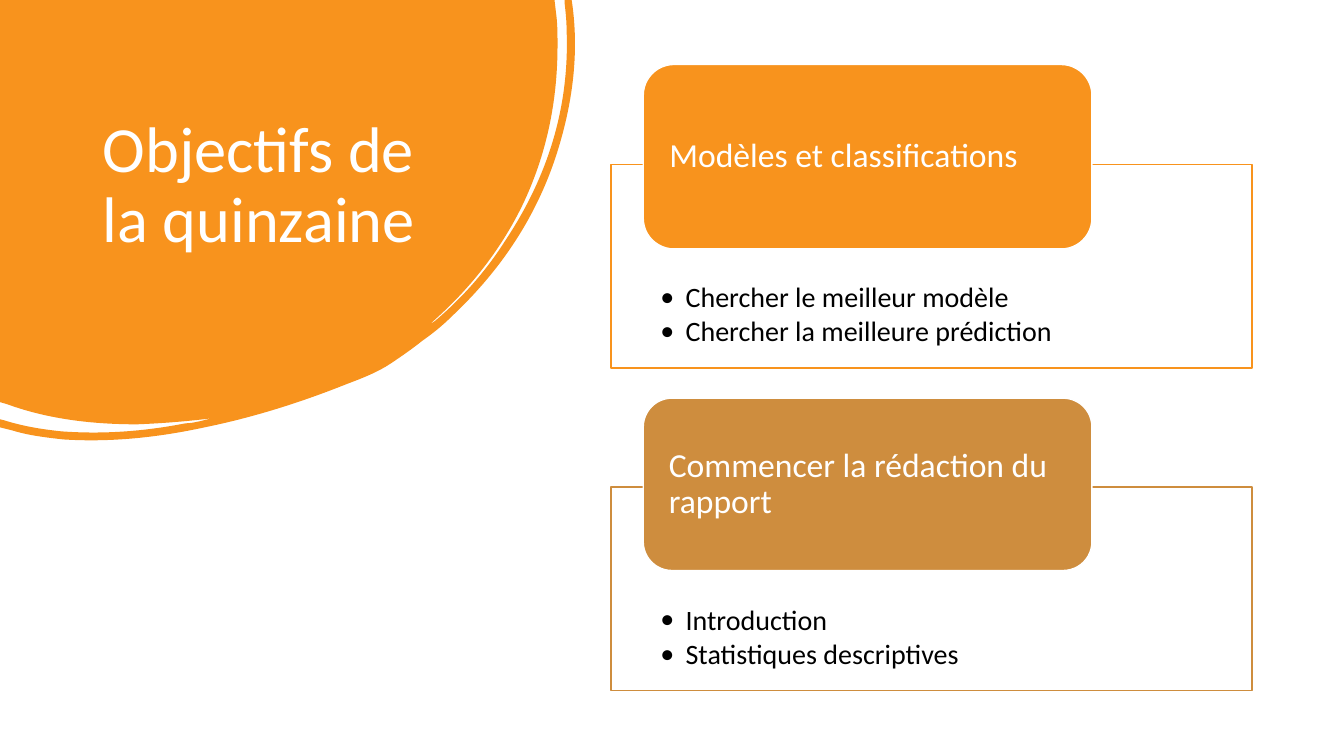
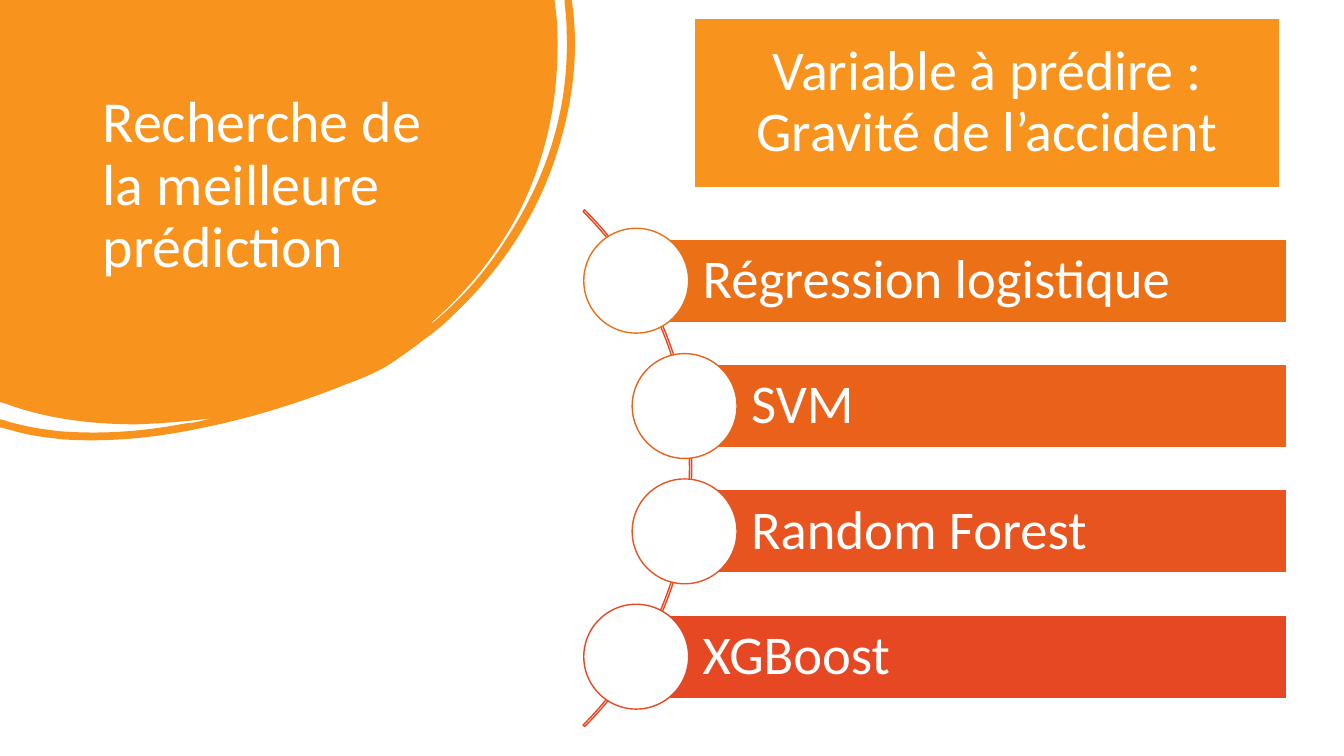
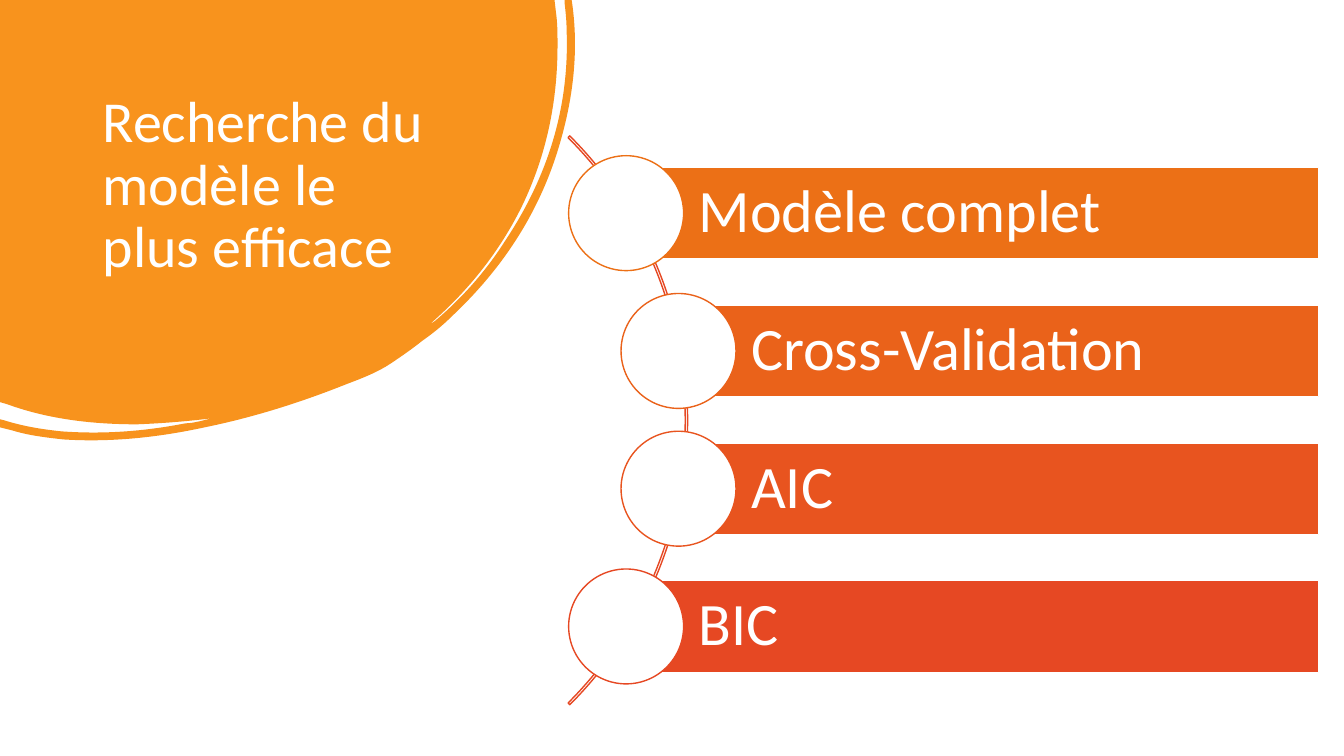
from dataclasses import dataclass

from lxml import etree
from pptx import Presentation
from pptx import util as u
from pptx.dml.color import RGBColor
from pptx.enum import shapes, text
from pptx.oxml.ns import qn

FONT = "Calibri"
ORANGE = "F8931D"
OCHRE = "CE8D3E"
RED = "E64823"
WHITE = "FFFFFF"
BLACK = "000000"
BAR_COLORS = ("EC7016", "EA621A", "E8541F", RED)

BLOB_SIZE = (5.71, 4.37)
BLOB_OUTLINE = (
    (5.5, 0), (5.52, 0.17),
    (5.53, 0.26, 5.53, 0.36, 5.53, 0.45),
    (5.53, 1.01, 5.42, 1.54, 5.18, 2.04),
    (4.96, 2.49, 4.65, 2.88, 4.27, 3.21),
    (4.29, 3.21, 4.3, 3.19, 4.32, 3.18),
    (4.59, 2.95, 4.82, 2.69, 5.01, 2.39),
    (5.43, 1.76, 5.65, 1.07, 5.62, 0.3),
    (5.62, 0.21, 5.61, 0.12, 5.6, 0.03),
    (5.6, 0), (5.67, 0), (5.68, 0.07),
    (5.74, 0.54, 5.68, 1.02, 5.53, 1.5),
    (5.33, 2.14, 4.97, 2.68, 4.48, 3.14),
    (4.39, 3.23, 4.29, 3.31, 4.19, 3.38),
    (4.09, 3.46, 3.99, 3.53, 3.87, 3.61),
    (3.75, 3.69, 3.6, 3.75, 3.44, 3.81),
    (2.99, 3.99, 2.52, 4.14, 2.03, 4.24),
    (1.57, 4.34, 1.1, 4.39, 0.63, 4.36),
    (0.45, 4.34, 0.28, 4.32, 0.12, 4.27),
    (0, 4.24), (0, 4.16), (0.04, 4.17),
    (0.23, 4.23, 0.42, 4.26, 0.61, 4.28),
    (1.03, 4.31, 1.43, 4.28, 1.84, 4.2),
    (1.89, 4.2, 1.93, 4.19, 1.98, 4.18),
    (2.02, 4.17, 2.06, 4.16, 2.1, 4.15),
    (1.86, 4.18, 1.61, 4.2, 1.36, 4.21),
    (0.92, 4.21, 0.48, 4.16, 0.07, 4.01),
    (0, 3.99),
)


@dataclass(frozen=True)
class Goal:
    heading: str
    points: tuple[str, ...]
    color: str
    body_top: float
    heading_top: float
    heading_height: float


@dataclass(frozen=True)
class Fan:
    labels: tuple[str, ...]
    size: float
    left: float
    right: float
    first_top: float
    last_top: float
    height: float
    shift: float
    circle: float
    inset: float
    margin: float
    arc_left: float
    arc_top: float
    arc_size: float


GOALS = (
    Goal("Modèles et classifications",
         ("Chercher le meilleur modèle", "Chercher la meilleure prédiction"),
         ORANGE, 1.63, 0.64, 1.83),
    Goal("Commencer la rédaction du rapport",
         ("Introduction", "Statistiques descriptives"),
         OCHRE, 4.83, 3.95, 1.71),
)

PREDICTION_FAN = Fan(
    ("Régression logistique", "SVM", "Random Forest", "XGBoost"), size=39,
    left=6.31, right=12.76, first_top=2.37, last_top=6.1, height=0.83, shift=0.48,
    circle=1.04, inset=0.66, margin=0.11,
    arc_left=-0.39, arc_top=1.02, arc_size=7.25)

MODEL_FAN = Fan(
    ("Modèle complet", "Cross-Validation", "AIC", "BIC"), size=43,
    left=6.21, right=13.08, first_top=1.66, last_top=5.76, height=0.91, shift=0.52,
    circle=1.14, inset=0.72, margin=0.12,
    arc_left=-1.16, arc_top=0.18, arc_size=7.98)


def rgb(color: str) -> RGBColor:
    return RGBColor.from_string(color)


def paint(shape, fill: str | None, line: str | None, opacity: int = 100) -> None:
    shape.shadow.inherit = False
    if fill:
        shape.fill.solid()
        shape.fill.fore_color.rgb = rgb(fill)
        if opacity < 100:
            tone = shape.element.spPr.find(qn("a:solidFill")).find(qn("a:srgbClr"))
            etree.SubElement(tone, qn("a:alpha")).set("val", str(opacity * 1000))
    else:
        shape.fill.background()
    if line:
        shape.line.color.rgb = rgb(line)
        shape.line.width = u.Pt(1)
    else:
        shape.line.fill.background()


def add_figure(page, kind, left: float, top: float, width: float, height: float,
               fill: str | None, line: str | None, opacity: int = 100):
    shape = page.shapes.add_shape(kind, u.Inches(left), u.Inches(top),
                                  u.Inches(width), u.Inches(height))
    paint(shape, fill, line, opacity)
    return shape


def add_bullet(para) -> None:
    properties = para._p.get_or_add_pPr()
    properties.set("marL", str(u.Inches(0.25)))
    properties.set("indent", str(-u.Inches(0.25)))
    etree.SubElement(properties, qn("a:buFont")).set("typeface", FONT)
    etree.SubElement(properties, qn("a:buChar")).set("char", "•")


def write(box, *lines: str, size: float, color: str = WHITE,
          insets: tuple[float, float, float, float] = (0.1, 0.05, 0.1, 0.05),
          anchor=text.MSO_ANCHOR.MIDDLE, align=text.PP_ALIGN.LEFT,
          bullet: bool = False, after: float = 0) -> None:
    frame = box.text_frame
    frame.word_wrap = True
    frame.vertical_anchor = anchor
    (frame.margin_left, frame.margin_top,
     frame.margin_right, frame.margin_bottom) = map(u.Inches, insets)
    for index, line in enumerate(lines):
        para = frame.add_paragraph() if index else frame.paragraphs[0]
        para.text = line
        para.alignment = align
        para.line_spacing = 0.9
        para.space_after = u.Pt(after)
        if bullet:
            add_bullet(para)
        for span in para.runs:
            span.font.name = FONT
            span.font.size = u.Pt(size)
            span.font.color.rgb = rgb(color)


def add_blob(page) -> None:
    builder = page.shapes.build_freeform(0, 0)
    builder.add_line_segments([(u.Inches(segment[-2]), u.Inches(segment[-1]))
                               for segment in BLOB_OUTLINE], close=True)
    blob = builder.convert_to_shape()
    blob.width, blob.height = map(u.Inches, BLOB_SIZE)
    outline = next(blob.element.iter(qn("a:path")))
    outline.set("w", str(blob.width))
    outline.set("h", str(blob.height))
    for line, segment in zip(outline.findall(qn("a:lnTo")), BLOB_OUTLINE):
        if len(segment) == 6:
            curve = etree.Element(qn("a:cubicBezTo"))
            for x, y in zip(segment[::2], segment[1::2]):
                point = etree.SubElement(curve, qn("a:pt"))
                point.set("x", str(u.Inches(x)))
                point.set("y", str(u.Inches(y)))
            outline.replace(line, curve)
    paint(blob, ORANGE, None)


def add_page(deck, title: str, size: float):
    page = deck.slides.add_slide(deck.slide_layouts[6])
    add_blob(page)
    box = page.shapes.add_textbox(u.Inches(0.92), u.Inches(0.74),
                                  u.Inches(3.52), u.Inches(2.22))
    write(box, title, size=size)
    return page


def add_goal(page, goal: Goal) -> None:
    body = add_figure(page, shapes.MSO_SHAPE.RECTANGLE, 6.06, goal.body_top,
                      6.36, 2.02, WHITE, goal.color, opacity=90)
    write(body, *goal.points, size=20, color=BLACK, insets=(0.49, 1.18, 0.49, 0.16),
          anchor=text.MSO_ANCHOR.TOP, bullet=True, after=3)
    heading = add_figure(page, shapes.MSO_SHAPE.ROUNDED_RECTANGLE, 6.38, goal.heading_top,
                         4.45, goal.heading_height, goal.color, WHITE)
    write(heading, goal.heading, size=24, insets=(0.17, 0, 0.17, 0))


def add_fan(page, fan: Fan) -> None:
    arc = add_figure(page, shapes.MSO_SHAPE.BLOCK_ARC, fan.arc_left, fan.arc_top,
                     fan.arc_size, fan.arc_size, None, RED)
    for index, value in enumerate((189, 27, 0.003)):
        arc.adjustments[index] = value
    last = len(fan.labels) - 1
    pitch = (fan.last_top - fan.first_top) / last
    for index, (label, color) in enumerate(zip(fan.labels, BAR_COLORS)):
        left = fan.left + (fan.shift if 0 < index < last else 0)
        top = fan.first_top + index * pitch
        bar = add_figure(page, shapes.MSO_SHAPE.RECTANGLE, left, top,
                         fan.right - left, fan.height, color, WHITE)
        write(bar, label, size=fan.size,
              insets=(fan.inset, fan.margin, fan.margin, fan.margin))
        add_figure(page, shapes.MSO_SHAPE.OVAL, left - fan.circle / 2,
                   top + (fan.height - fan.circle) / 2, fan.circle, fan.circle,
                   WHITE, color)


def main() -> None:
    deck = Presentation()
    deck.slide_width = u.Inches(13.33)
    deck.slide_height = u.Inches(7.5)

    goals_page = add_page(deck, "Objectifs de la quinzaine", 46)
    for goal in GOALS:
        add_goal(goals_page, goal)

    prediction_page = add_page(deck, "Recherche de la meilleure prédiction", 41.4)
    add_fan(prediction_page, PREDICTION_FAN)
    target = add_figure(prediction_page, shapes.MSO_SHAPE.RECTANGLE,
                        6.89, 0.18, 5.8, 1.68, ORANGE, WHITE)
    write(target, "Variable à prédire :\vGravité de l’accident", size=40,
          insets=(0.17, 0.17, 0.17, 0.17), align=text.PP_ALIGN.CENTER)

    model_page = add_page(deck, "Recherche du modèle le plus efficace", 41.4)
    add_fan(model_page, MODEL_FAN)

    deck.save("out.pptx")


if __name__ == "__main__":
    main()
